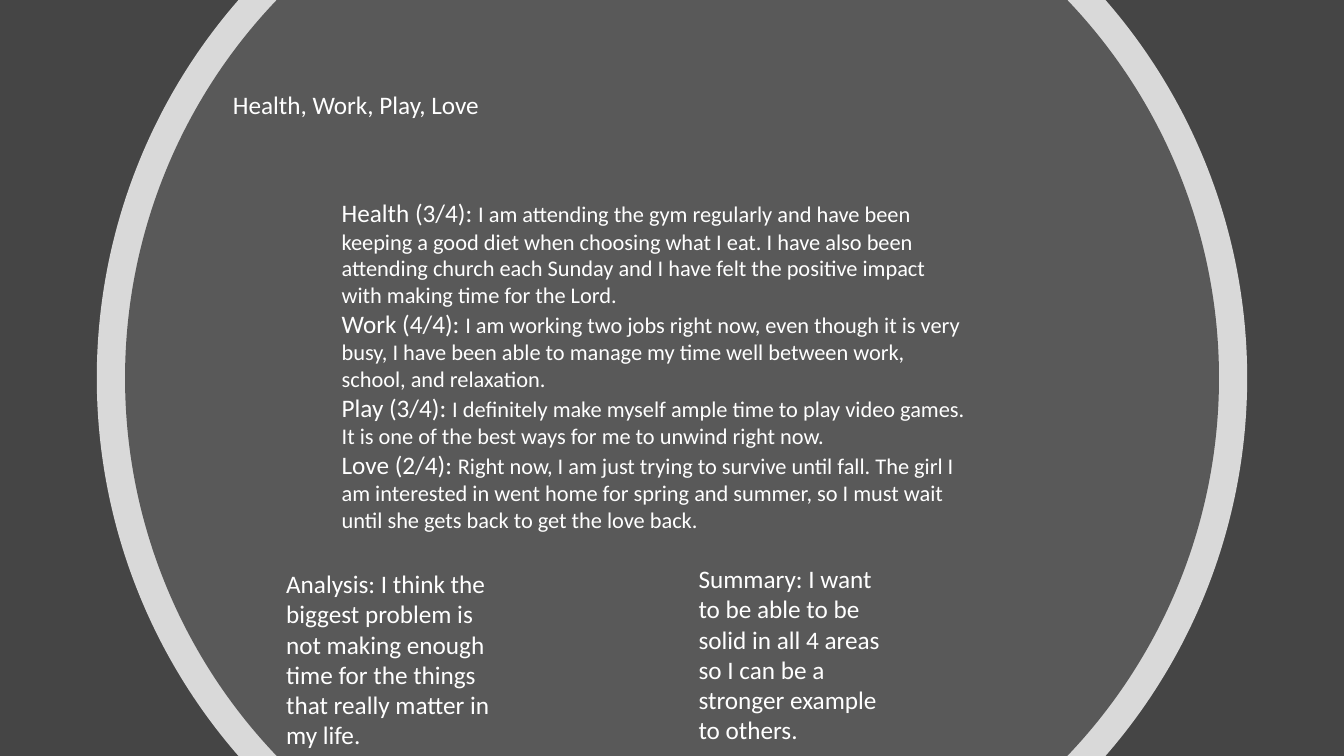
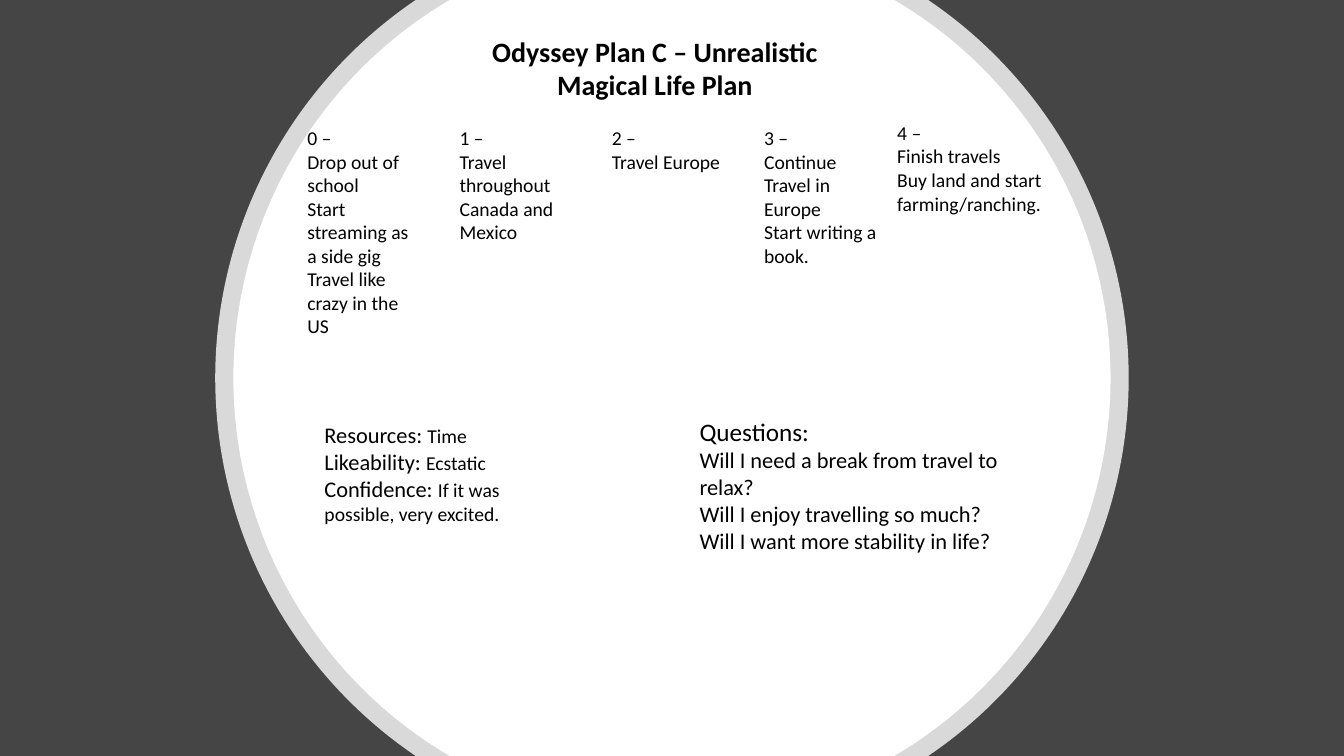
from dataclasses import dataclass
from math import asin, cos, pi, sin, tan

from lxml import etree
from pptx import Presentation
from pptx import util as u
from pptx.dml.color import RGBColor
from pptx.enum import text
from pptx.oxml.ns import qn

PX = 9144  # EMU in one px: 100 px to the inch
WIDE, HIGH = 1333, 750


@dataclass(frozen=True)
class Theme:
    font: str = "Calibri"
    back: str = "454545"
    ring: str = "FFFFFF"
    ring_alpha: int = 80
    dark: str = "595959"
    light: str = "FFFFFF"
    black: str = "000000"
    white: str = "FFFFFF"
    head: int = 20
    large: int = 18
    mid: int = 16
    small: int = 14


T = Theme()
LEFT, MID = text.PP_ALIGN.LEFT, text.PP_ALIGN.CENTER

# Content: each paragraph is (lead, body); each box is (place, (lead size, body size), paragraphs)
AREAS = [
    ("Health (3/4): ", "I am attending the gym regularly and have been keeping a good diet when "
     "choosing what I eat. I have also been attending church each Sunday and I have felt the "
     "positive impact with making time for the Lord."),
    ("Work (4/4): ", "I am working two jobs right now, even though it is very busy, I have been "
     "able to manage my time well between work, school, and relaxation."),
    ("Play (3/4): ", "I definitely make myself ample time to play video games. It is one of the "
     "best ways for me to unwind right now."),
    ("Love (2/4): ", "Right now, I am just trying to survive until fall. The girl I am interested "
     "in went home for spring and summer, so I must wait until she gets back to get the love back."),
]
ANALYSIS = [("Analysis: I think the biggest problem is not making enough time for the things "
             "that really matter in my life.", "")]
SUMMARY = [("Summary: I want to be able to be solid in all 4 areas so I can be a stronger "
            "example to others.", "")]
YEARS = [
    ["Drop out of school", "Start streaming as a side gig", "Travel like crazy in the US"],
    ["Travel throughout Canada and Mexico"],
    ["Travel Europe"],
    ["Continue Travel in Europe", "Start writing a book."],
    ["Finish travels", "Buy land and start farming/ranching."],
]
TALL = [222, 128, 57, 151, 104]
RATINGS = [
    ("Resources: ", "Time"),
    ("Likeability: ", "Ecstatic"),
    ("Confidence: ", "If it was possible, very excited."),
]
QUESTIONS = [
    ("Questions:", ""),
    ("", "Will I need a break from travel to relax?"),
    ("", "Will I enjoy travelling so much?"),
    ("", "Will I want more stability in life?"),
]


def year_boxes():
    """Four even columns, then a wider last one set a little higher."""
    for i, plans in enumerate(YEARS):
        last = i == len(YEARS) - 1
        x, y, w = (880, 115, 170) if last else (295 + 151 * i, 120, 132)
        paras = [(f"{i} –", "")] + [("", plan) for plan in plans]
        yield (x, y, w, TALL[i]), (T.small, T.small), paras


# Discs are (outer, inner) diameters
SLIDES = [
    dict(title="Health, Work, Play, Love", place=(221, 84, 327, 40), size=T.large,
         bold=False, align=LEFT, ink=T.white, disc=T.dark, discs=(1141, 1085),
         boxes=[
             ((329, 191, 638, 347), (T.large, T.mid), AREAS),
             ((274, 559, 224, 192), (T.large, T.large), ANALYSIS),
             ((683, 554, 215, 192), (T.large, T.large), SUMMARY),
         ]),
    dict(title="Odyssey Plan C – Unrealistic Magical Life Plan", place=(446, 29, 407, 77),
         size=T.head, bold=True, align=MID, ink=T.black, disc=T.light, discs=(906, 870),
         boxes=[
             *year_boxes(),
             ((312, 413, 267, 114), (T.mid, T.small), RATINGS),
             ((684, 408, 343, 148), (T.large, T.mid), QUESTIONS),
         ]),
]


def emu(vals):
    return [v * PX for v in vals]


def add_disc(slide, across, color, alpha=100):
    """A circle on the slide centre, cut off at the top and bottom edges."""
    rad = across / 2
    reach = asin(HIGH / 2 / rad)
    pull = 4 / 3 * tan(reach / 4)  # handle length of a curve that spans reach

    def spot(turn, lean=0):
        x = cos(turn) - lean * sin(turn)
        y = sin(turn) + lean * cos(turn)
        return round((WIDE / 2 + rad * x) * PX), round((HIGH / 2 + rad * y) * PX)

    turns = [side + step * reach for side in (0, pi) for step in (-1, 0, 1)]
    pts = [spot(turn) for turn in turns]
    form = slide.shapes.build_freeform(*pts[0], scale=1.0)
    form.add_line_segments(pts[1:], close=True)
    disc = form.convert_to_shape()

    # Bend the two sides, leave the flat edges straight
    lines = list(disc.element.iter(qn("a:lnTo")))
    for k in (0, 1, 3, 4):
        bend = etree.Element(qn("a:cubicBezTo"))
        for x, y in (spot(turns[k], pull), spot(turns[k + 1], -pull), pts[k + 1]):
            point = etree.SubElement(bend, qn("a:pt"))
            point.set("x", str(x - disc.left))
            point.set("y", str(y - disc.top))
        lines[k].getparent().replace(lines[k], bend)

    disc.shadow.inherit = False
    disc.line.fill.background()
    disc.fill.solid()
    disc.fill.fore_color.rgb = RGBColor.from_string(color)
    if alpha < 100:
        tint = next(disc.element.iter(qn("a:srgbClr")))
        etree.SubElement(tint, qn("a:alpha")).set("val", str(alpha * 1000))


def style(run, size, ink, bold=False):
    font = run.font
    font.name, font.size, font.bold = T.font, u.Pt(size), bold
    font.color.rgb = RGBColor.from_string(ink)


def set_frame(frame):
    frame.word_wrap = True
    frame.auto_size = text.MSO_AUTO_SIZE.SHAPE_TO_FIT_TEXT
    frame.vertical_anchor = text.MSO_ANCHOR.TOP


def set_title(slide, page):
    title = slide.shapes.title
    title.left, title.top, title.width, title.height = emu(page["place"])
    slide.shapes.element.append(title.element)  # bring in front of the discs
    set_frame(title.text_frame)
    title.text_frame.text = page["title"]
    para = title.text_frame.paragraphs[0]
    para.alignment = page["align"]
    style(para.runs[0], page["size"], page["ink"], page["bold"])


def add_box(slide, place, sizes, paras, ink):
    frame = slide.shapes.add_textbox(*emu(place)).text_frame
    set_frame(frame)
    for i, parts in enumerate(paras):
        para = frame.add_paragraph() if i else frame.paragraphs[0]
        for words, size in zip(parts, sizes):
            if words:
                run = para.add_run()
                run.text = words
                style(run, size, ink)


def main():
    prs = Presentation()
    prs.slide_width, prs.slide_height = emu((WIDE, HIGH))
    # Shared backdrop
    back = prs.slide_master.background.fill
    back.solid()
    back.fore_color.rgb = RGBColor.from_string(T.back)

    for page in SLIDES:
        slide = prs.slides.add_slide(prs.slide_layouts.get_by_name("Title Only"))
        outer, inner = page["discs"]
        add_disc(slide, outer, T.ring, T.ring_alpha)
        add_disc(slide, inner, page["disc"])
        set_title(slide, page)
        for place, sizes, paras in page["boxes"]:
            add_box(slide, place, sizes, paras, page["ink"])
    prs.save("out.pptx")


if __name__ == "__main__":
    main()
